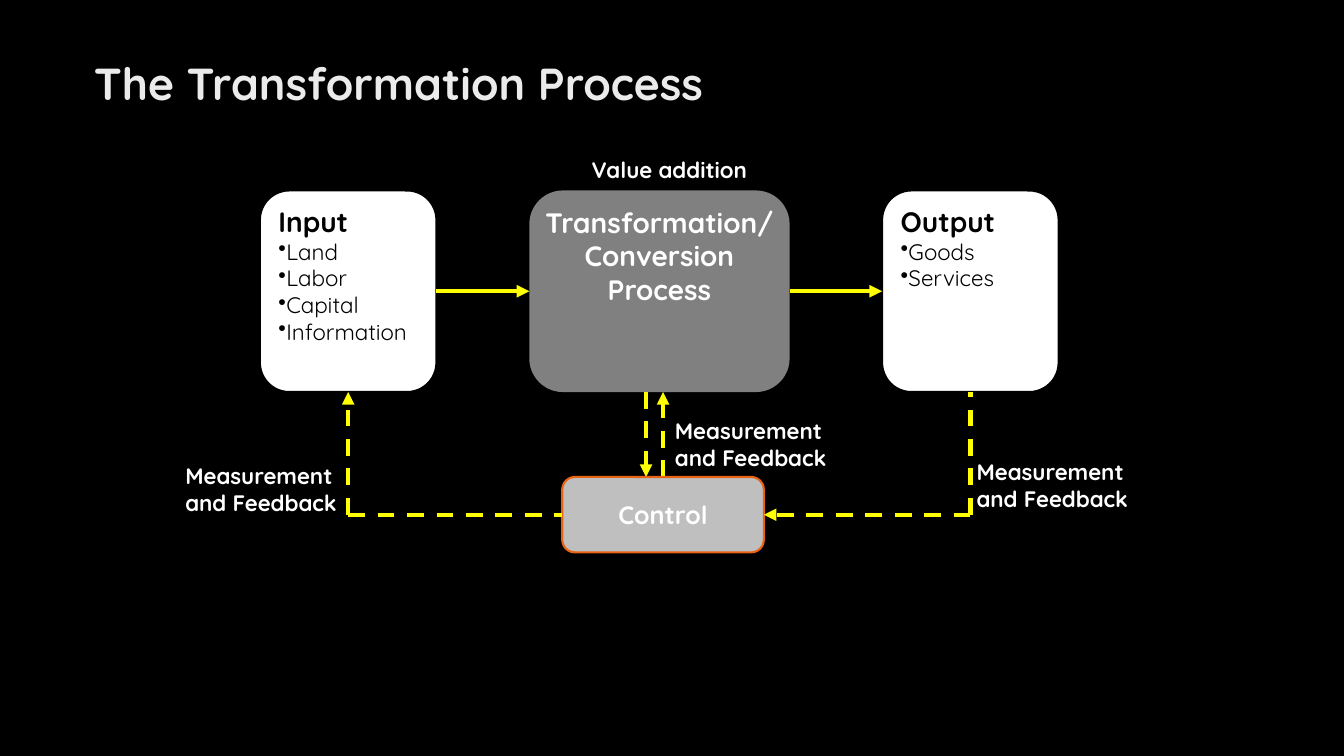
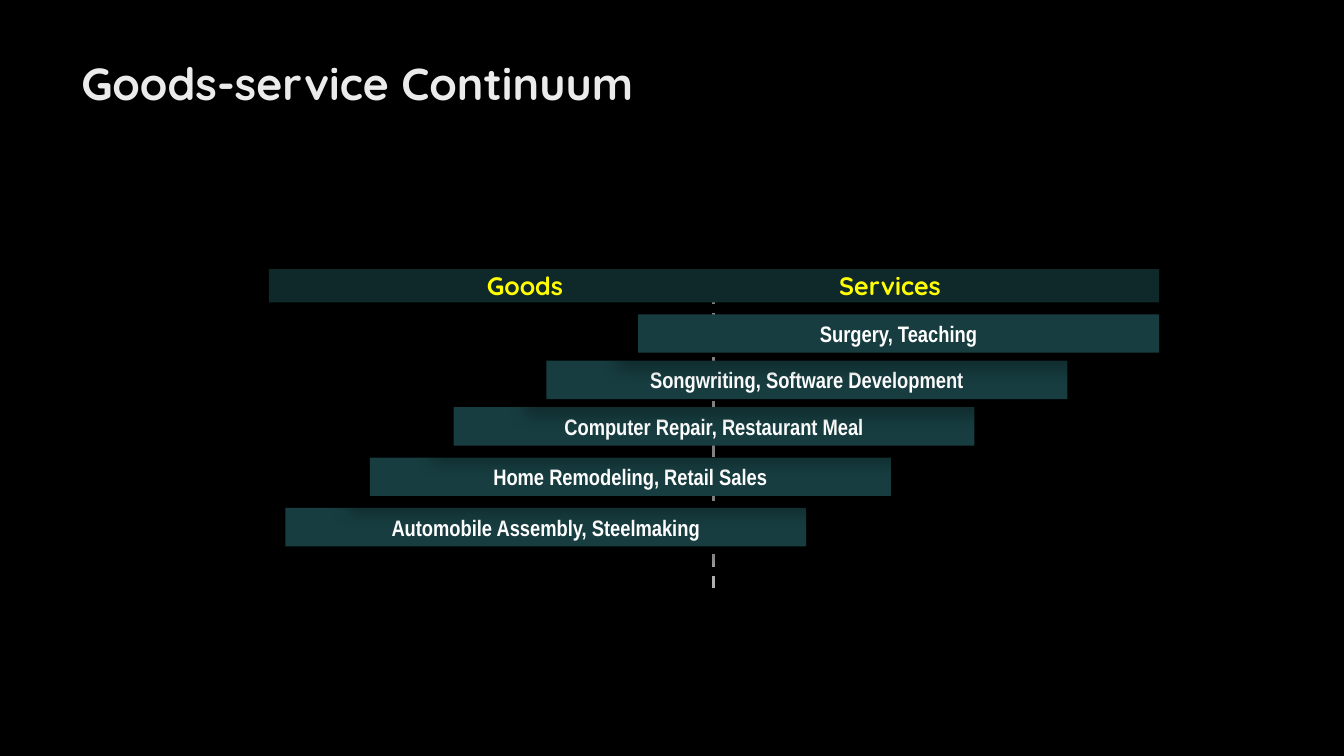
from lxml import etree
from pptx import Presentation
from pptx import util as u
from pptx.dml.color import RGBColor
from pptx.enum import dml, shapes, text
from pptx.oxml import ns

BLACK = RGBColor(0x00, 0x00, 0x00)
WHITE = RGBColor(0xFF, 0xFF, 0xFF)
TITLE_GREY = RGBColor(0xEB, 0xEB, 0xEB)
PROCESS_GREY = RGBColor(0x80, 0x80, 0x80)
CONTROL_GREY = RGBColor(0xBF, 0xBF, 0xBF)
DIVIDER_GREY = RGBColor(0xB0, 0xB0, 0xB0)
YELLOW = RGBColor(0xFF, 0xFF, 0x00)
ORANGE = RGBColor(0xEA, 0x63, 0x12)
TEAL = RGBColor(0x17, 0x3D, 0x40)
DARK_TEAL = RGBColor(0x0F, 0x28, 0x2A)

HEADING_FONT = "Quicksand"
BAR_FONT = "Arial Narrow"
TOP, MIDDLE = text.MSO_ANCHOR.TOP, text.MSO_ANCHOR.MIDDLE
LEFT, CENTER = text.PP_ALIGN.LEFT, text.PP_ALIGN.CENTER
ROUNDED = shapes.MSO_SHAPE.ROUNDED_RECTANGLE
RECTANGLE = shapes.MSO_SHAPE.RECTANGLE
SITE_TOP, SITE_LEFT, SITE_BOTTOM, SITE_RIGHT = range(4)


def add_xml(parent, tag, **attributes):
    return etree.SubElement(parent, ns.qn(tag), attributes)


class Deck:
    def __init__(self, width, height):
        self.presentation = Presentation()
        self.presentation.slide_width = u.Cm(width)
        self.presentation.slide_height = u.Cm(height)
        self.slide = None

    def new_slide(self, title):
        self.slide = self.presentation.slides.add_slide(self.presentation.slide_layouts[6])
        background = self.slide.background.fill
        background.solid()
        background.fore_color.rgb = BLACK
        self.label(title, 1.8, 1.27, 26.11, 3.89, size=32, color=TITLE_GREY)

    def set_text(self, owner, lines, size=16, color=WHITE, font=HEADING_FONT,
                 bold=True, align=LEFT, anchor=TOP, wrap=True, bullets=()):
        frame = owner.text_frame
        frame.word_wrap = wrap
        frame.vertical_anchor = anchor
        entries = [(line, size, bold, False) for line in lines.split("\n")]
        entries += [(item, 16, False, True) for item in bullets]
        for index, (line, points, is_bold, bulleted) in enumerate(entries):
            paragraph = frame.add_paragraph() if index else frame.paragraphs[0]
            paragraph.alignment = align
            run = paragraph.add_run()
            run.text = line
            for name, value in {"name": font, "size": u.Pt(points), "bold": is_bold}.items():
                setattr(run.font, name, value)
            run.font.color.rgb = color
            if bulleted:
                add_xml(paragraph._p.get_or_add_pPr(), "a:buChar", char="•")

    def label(self, lines, left, top, width, height, **style):
        label = self.slide.shapes.add_textbox(*map(u.Cm, (left, top, width, height)))
        self.set_text(label, lines, **style)

    def box(self, kind, left, top, width, height, fill, outline=None, shadow=False,
            lines="", **style):
        box = self.slide.shapes.add_shape(kind, *map(u.Cm, (left, top, width, height)))
        box.shadow.inherit = False
        box.fill.solid()
        box.fill.fore_color.rgb = fill
        if outline is None:
            box.line.fill.background()
        else:
            box.line.color.rgb = outline
            box.line.width = u.Pt(1.5)
        if shadow:
            self.cast_shadow(box)
        if lines:
            self.set_text(box, lines, **style)
        return box

    def cast_shadow(self, box):
        effects = box._element.spPr.find(ns.qn("a:effectLst"))
        outer = add_xml(effects, "a:outerShdw", blurRad=str(u.Pt(11.8)),
                        dist=str(u.Pt(19.7)), dir=str(141 * 60000),
                        algn="ctr", rotWithShape="0")
        tint = add_xml(outer, "a:srgbClr", val=str(BLACK))
        add_xml(tint, "a:alpha", val="28000")

    def line(self, start, end, begin=None, finish=None, color=YELLOW, width=3,
             dashed=True, arrow=False):
        line = self.slide.shapes.add_connector(
            shapes.MSO_CONNECTOR.STRAIGHT, *map(u.Cm, (*start, *end)))
        if begin:
            line.begin_connect(*begin)
        if finish:
            line.end_connect(*finish)
        line.line.color.rgb = color
        line.line.width = u.Pt(width)
        if dashed:
            line.line.dash_style = dml.MSO_LINE.DASH
        if arrow:
            add_xml(line.line._get_or_add_ln(), "a:tailEnd", type="triangle")
        add_xml(line._element.spPr, "a:effectLst")


def transformation_process(deck):
    deck.new_slide(" The Transformation Process")
    stage_top, stage_height, side_width = 4.8, 5.08, 4.45
    stage_bottom = stage_top + stage_height
    flow_y = stage_top + stage_height / 2
    control_top, control_height = 12.02, 1.9
    rail_y = control_top + control_height / 2

    sides = []
    for left, heading, items in (
        (6.55, "Input", ("Land", "Labor", "Capital", "Information")),
        (22.23, "Output", ("Goods", "Services")),
    ):
        sides.append(deck.box(ROUNDED, left, stage_top, side_width, stage_height,
                              WHITE, BLACK, lines=heading, size=20, color=BLACK,
                              wrap=False, bullets=items))
    source, result = sides
    process = deck.box(ROUNDED, 13.34, stage_top, 6.56, stage_height, PROCESS_GREY,
                       shadow=True, lines="Transformation/\nConversion\nProcess",
                       size=20, align=CENTER, wrap=False)

    deck.line((11, flow_y), (13.34, flow_y), (source, SITE_RIGHT), (process, SITE_LEFT),
              dashed=False, arrow=True)
    deck.line((19.9, flow_y), (22.23, flow_y), (process, SITE_RIGHT), (result, SITE_LEFT),
              dashed=False, arrow=True)
    deck.line((16.28, stage_bottom), (16.28, control_top), arrow=True)
    deck.line((16.71, control_top), (16.71, stage_bottom), arrow=True)

    control = deck.box(ROUNDED, 14.17, control_top, 5.08, control_height, CONTROL_GREY,
                       ORANGE, lines="Control", size=18, align=CENTER, anchor=MIDDLE,
                       wrap=False)
    for stage, site, rail_end, into_control in (
        (source, SITE_LEFT, 14.17, False),
        (result, SITE_RIGHT, 19.25, True),
    ):
        corner = ((stage.left + stage.width / 2) / u.Cm(1), rail_y)
        deck.line(corner, (rail_end, rail_y), finish=(control, site), arrow=into_control)
        deck.line(corner, (corner[0], stage_bottom), finish=(stage, SITE_BOTTOM),
                  arrow=not into_control)

    for left, top in ((16.76, 10.39), (4.42, 11.53), (24.36, 11.43)):
        deck.label("Measurement\nand Feedback", left, top, 4.6, 1.63)
    deck.label("Value addition", 14.66, 3.81, 4.6, 0.94)


def goods_service_continuum(deck):
    deck.new_slide("Goods-service Continuum")
    header_top, header_height = 6.78, 0.84
    deck.line((17.98, header_top), (17.98, 14.81), color=DIVIDER_GREY, width=2.25)
    deck.box(RECTANGLE, 6.78, header_top, 22.43, header_height, DARK_TEAL, shadow=True)
    for left, top, examples in (
        (7.19, 12.8, "Automobile Assembly, Steelmaking"),
        (9.32, 11.53, "Home Remodeling, Retail Sales"),
        (11.43, 10.26, "Computer Repair, Restaurant Meal"),
        (13.77, 9.09, "Songwriting, Software Development"),
        (16.08, 7.92, "Surgery, Teaching"),
    ):
        deck.box(RECTANGLE, left, top, 13.13, 0.97, TEAL, shadow=True, lines=examples,
                 font=BAR_FONT, align=CENTER, anchor=MIDDLE)
    for center, pole in ((13.23, "Goods"), (22.43, "Services")):
        deck.label(pole, center - 2.5, header_top, 5, header_height, size=18,
                   color=YELLOW, align=CENTER, anchor=MIDDLE)


def main():
    deck = Deck(33.87, 19.05)
    transformation_process(deck)
    goods_service_continuum(deck)
    deck.presentation.save("out.pptx")


if __name__ == "__main__":
    main()
